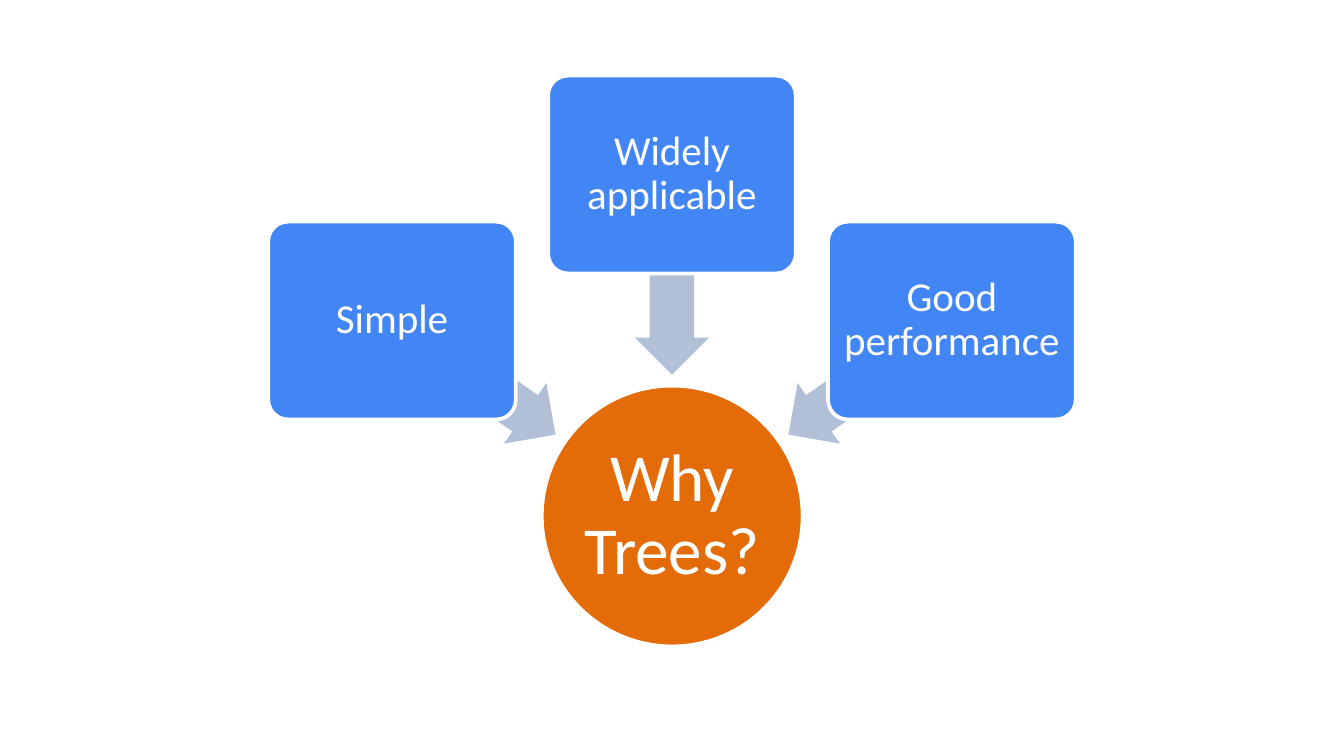
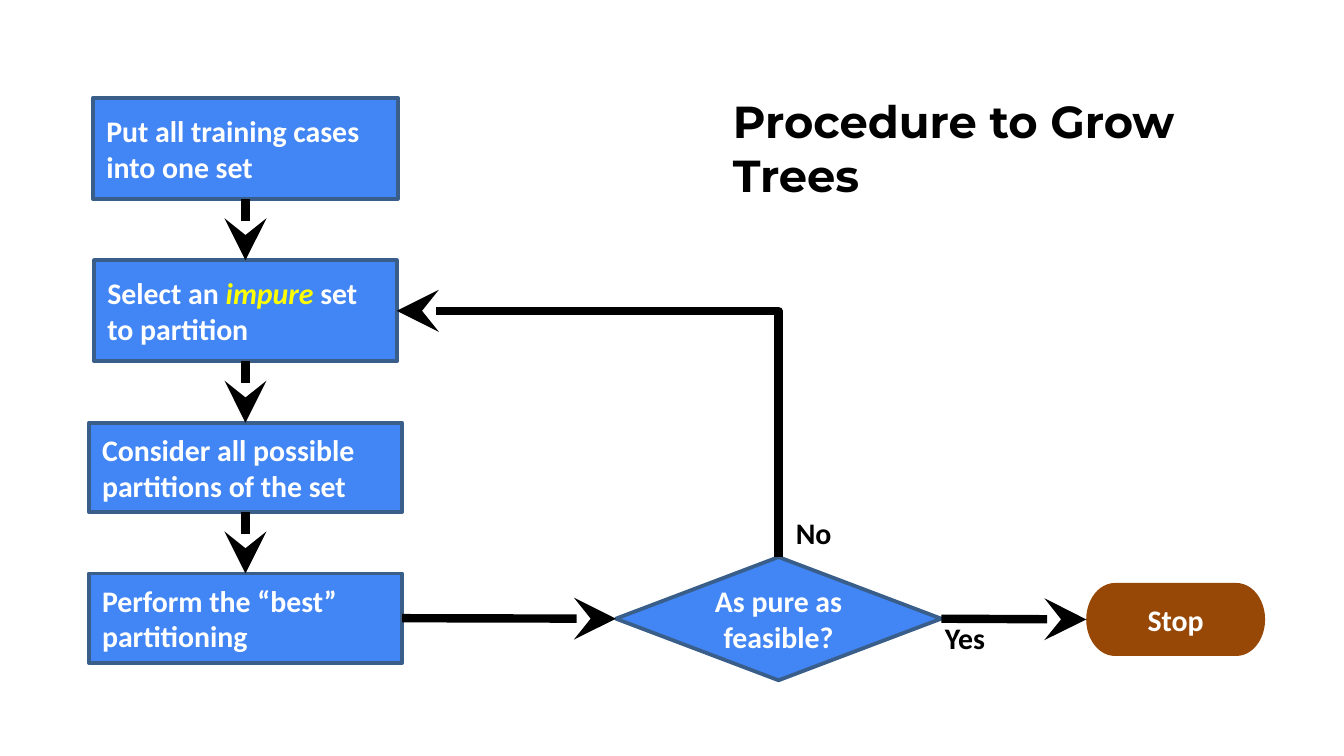
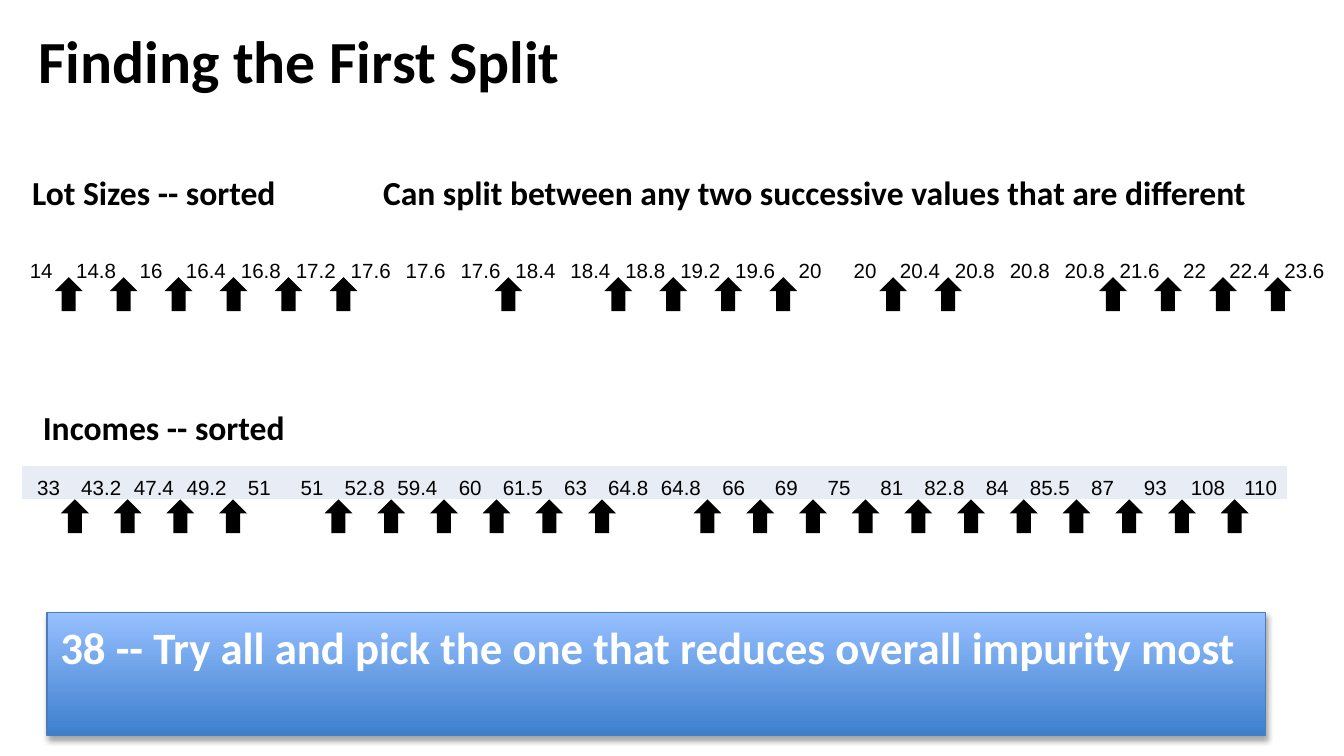
from pptx import Presentation
from pptx.dml.color import RGBColor
from pptx.enum.shapes import MSO_CONNECTOR, MSO_SHAPE
from pptx.enum.text import MSO_ANCHOR, PP_ALIGN
from pptx.oxml import parse_xml
from pptx.oxml.ns import nsdecls, qn
from pptx.util import Cm, Pt

WHITE, BLACK, BLUE = "FFFFFF", "000000", "4285F4"
EDGE, ORANGE, BROWN = "395E89", "E36C09", "974806"
STEEL, PALE, YELLOW = "B1C0D7", "E8ECF4", "FFFF00"
PLAIN_GRID = "{2D5ABB26-0587-4C30-8999-92F81FD0307C}"
MID = 12.7

LOTS = ("14 14.8 16 16.4 16.8 17.2 17.6 17.6 17.6 18.4 18.4 18.8 19.2 19.6 "
        "20 20 20.4 20.8 20.8 20.8 21.6 22 22.4 23.6").split()
INCOMES = ("33 43.2 47.4 49.2 51 51 52.8 59.4 60 61.5 63 64.8 64.8 66 69 75 "
           "81 82.8 84 85.5 87 93 108 110").split()


def color(code):
    return RGBColor.from_string(code)


def place(box):
    return [Cm(n) for n in box]


def write(frame, text, size, ink=WHITE, font="Calibri", bold=True,
          align=PP_ALIGN.LEFT, anchor=MSO_ANCHOR.TOP, inset=(0.25, 0.13),
          space=None):
    """Fill a frame; text is a string or a list of (words, ink, italic)."""
    frame.word_wrap = True
    frame.vertical_anchor = anchor
    frame.margin_left = frame.margin_right = Cm(inset[0])
    frame.margin_top = frame.margin_bottom = Cm(inset[1])
    para = frame.paragraphs[0]
    para.alignment = align
    if space:
        para.line_spacing = space
    parts = [(text, ink, False)] if isinstance(text, str) else text
    for words, tint, slant in parts:
        run = para.add_run()
        run.text = words
        run.font.name, run.font.size = font, Pt(size)
        run.font.bold, run.font.italic = bold, slant
        run.font.color.rgb = color(tint)


def shape(slide, kind, box, fill, line=None, width=2, adjust=(), turn=0):
    item = slide.shapes.add_shape(kind, *place(box))
    item.shadow.inherit = False
    item.fill.solid()
    item.fill.fore_color.rgb = color(fill)
    if line:
        item.line.color.rgb = color(line)
        item.line.width = Pt(width)
    else:
        item.line.fill.background()
    for i, value in enumerate(adjust):
        item.adjustments[i] = value
    item.rotation = turn
    return item


def title(slide, text, box, size, font="Calibri"):
    item = slide.shapes.title
    item.left, item.top, item.width, item.height = place(box)
    write(item.text_frame, text, size, BLACK, font)


def label(slide, text, box, size):
    write(slide.shapes.add_textbox(*place(box)).text_frame, text, size, BLACK)


def step(slide, kind, text, box, fill=BLUE, line=EDGE, align=PP_ALIGN.CENTER):
    item = shape(slide, kind, box, fill, line)
    write(item.text_frame, text, 16, align=align, anchor=MSO_ANCHOR.MIDDLE)
    return item


def style(link):
    """Give a connector its thick black line and large arrowhead."""
    link.line.color.rgb = color(BLACK)
    link.line.width = Pt(4.5)
    link.line._get_or_add_ln().append(parse_xml(
        f'<a:tailEnd {nsdecls("a")} type="stealth" w="lg" len="lg"/>'))
    link._element.spPr.append(parse_xml(f'<a:effectLst {nsdecls("a")}/>'))


def join(slide, start, out, end, into):
    """Link two shapes; sites are 0 top, 1 left, 2 bottom, 3 right."""
    link = slide.shapes.add_connector(MSO_CONNECTOR.STRAIGHT, 0, 0, 0, 0)
    link.begin_connect(start, out)
    link.end_connect(end, into)
    style(link)


def loop(slide, start, end):
    """Run up from the top of start, then left to the right side of end."""
    x1, y1 = start.left + start.width // 2, start.top
    x2, y2 = end.left + end.width, end.top + end.height // 2
    x, y = (x1 + x2) // 2, (y1 + y2) // 2
    rise, run = (y1 - y2) // 2, (x1 - x2) // 2
    link = slide.shapes.add_connector(
        MSO_CONNECTOR.ELBOW, x + rise, y - run, x - rise, y + run)
    props = link._element.spPr
    props.find(qn("a:xfrm")).set("rot", "5400000")
    props.find(qn("a:prstGeom")).set("prst", "bentConnector2")
    style(link)


def splits(slide, values, left, top, width, height, base, fill=None):
    """One row of sorted values, with an arrow at each change of value."""
    col = width / len(values)
    holder = slide.shapes.add_table(
        1, len(values), *place((left, top, width, height)))
    table = holder.table
    table.first_row = table.horz_banding = False
    table._tbl.tblPr.find(qn("a:tableStyleId")).text = PLAIN_GRID
    for i, value in enumerate(values):
        table.columns[i].width = Cm(col)
        cell = table.cell(0, i)
        if fill:
            cell.fill.solid()
            cell.fill.fore_color.rgb = color(fill)
        else:
            cell.fill.background()
        write(cell.text_frame, value, 11, BLACK, "Arial", False,
              PP_ALIGN.CENTER, inset=(0, 0))
        cell.vertical_anchor = MSO_ANCHOR.BOTTOM
        cell.margin_left = cell.margin_right = 0
        cell.margin_top = cell.margin_bottom = 0
    holder.width = holder.height = Cm(8.33)
    wide = 0.53
    for i, (now, then) in enumerate(zip(values, values[1:]), 1):
        if now != then:
            shape(slide, MSO_SHAPE.UP_ARROW,
                  (left + i * col - wide / 2, base, wide, 0.64), BLACK)


def banner(slide, text, box):
    item = shape(slide, MSO_SHAPE.RECTANGLE, box, BLUE, "4A7DBA", 0.75)
    item.fill.gradient()
    item.fill.gradient_angle = 90
    for stop, code in zip(item.fill.gradient_stops, ("3E7FCD", "96C0FF")):
        stop.color.rgb = color(code)
    item._element.spPr.find(qn("a:effectLst")).append(parse_xml(
        f'<a:outerShdw {nsdecls("a")} blurRad="40000" dist="23000" '
        'dir="5400000" rotWithShape="0"><a:srgbClr val="000000">'
        '<a:alpha val="35000"/></a:srgbClr></a:outerShdw>'))
    write(item.text_frame, text, 24)


def reasons(slide):
    mid = dict(bold=False, align=PP_ALIGN.CENTER, anchor=MSO_ANCHOR.MIDDLE,
               space=0.9)
    hub = shape(slide, MSO_SHAPE.OVAL, (MID - 2.46, 7.29, 4.93, 4.93),
                ORANGE, WHITE)
    write(hub.text_frame, "Why Trees?", 36, inset=(0.06, 0.06), **mid)
    cards = [(-1, "Simple", 4.19, 6.43), (0, "Widely applicable", 1.43, 4.49),
             (1, "Good performance", 4.19, 6.43)]
    for side, text, top, low in cards:
        shape(slide, MSO_SHAPE.LEFT_ARROW,
              (MID + 3.75 * side - 1.89, low, 3.78, 1.4), STEEL,
              adjust=(0.6, 0.5), turn=270 + 55 * side)
        card = shape(slide, MSO_SHAPE.ROUNDED_RECTANGLE,
                     (MID + 5.29 * side - 2.34, top, 4.68, 3.74),
                     BLUE, WHITE, adjust=(0.1,))
        write(card.text_frame, text, 22, inset=(0.13, 0.13), **mid)


def grow(slide):
    title(slide, "Procedure to Grow Trees", (13.6, 1.65, 9.91, 2.31), 24,
          "Montserrat")
    tasks = [
        ("Put all training cases into one set", 5.76, 1.91),
        ([("Select an ", WHITE, False), ("impure ", YELLOW, True),
          ("set to partition", WHITE, False)], 5.72, 1.91),
        ("Consider all possible partitions of the set", 5.92, 1.69),
        ("Perform the “best” partitioning", 5.92, 1.69),
    ]
    top, boxes = 1.85, []
    for text, wide, high in tasks:
        boxes.append(step(slide, MSO_SHAPE.FLOWCHART_PROCESS, text,
                          (4.64 - wide / 2, top, wide, high),
                          align=PP_ALIGN.LEFT))
        top += high + 1.16
    test = step(slide, MSO_SHAPE.FLOWCHART_DECISION, "As pure as feasible?",
                (11.64, 10.53, 6.15, 2.33))
    for start, end in zip(boxes, boxes[1:]):
        join(slide, start, 2, end, 0)
    join(slide, boxes[-1], 3, test, 1)
    loop(slide, test, boxes[1])
    stop = step(slide, MSO_SHAPE.FLOWCHART_TERMINATOR, "Stop",
                (20.53, 11.02, 3.38, 1.38), BROWN, None)
    join(slide, test, 3, stop, 1)
    label(slide, "No", (14.79, 9.6, 1.25, 1.63), 16)
    label(slide, "Yes", (17.61, 11.58, 1.4, 1.63), 16)


def first(slide):
    title(slide, "Finding the First Split", (0.48, 0.32, 10.5, 3), 32)
    label(slide, "Lot Sizes -- sorted", (0.36, 3.12, 5.2, 1.8), 18)
    label(slide, "Can split between any two successive values that are "
          "different", (6.99, 3.12, 17.07, 1.8), 18)
    splits(slide, LOTS, 0.26, 4.82, 24.93, 0.53, 5.24)
    splits(slide, INCOMES, 0.42, 8.81, 23.91, 0.63, 9.44, PALE)
    label(slide, "Incomes -- sorted", (0.56, 7.57, 5.15, 1.8), 18)
    banner(slide, "38 -- Try all and pick the one that reduces overall "
           "impurity most", (0.89, 11.58, 23.03, 2.32))


def main():
    deck = Presentation()
    deck.slide_width, deck.slide_height = Cm(25.4), Cm(14.29)
    blank, titled = deck.slide_layouts[6], deck.slide_layouts[5]
    for draw, layout in ((reasons, blank), (grow, titled), (first, titled)):
        draw(deck.slides.add_slide(layout))
    deck.save("out.pptx")


if __name__ == "__main__":
    main()
